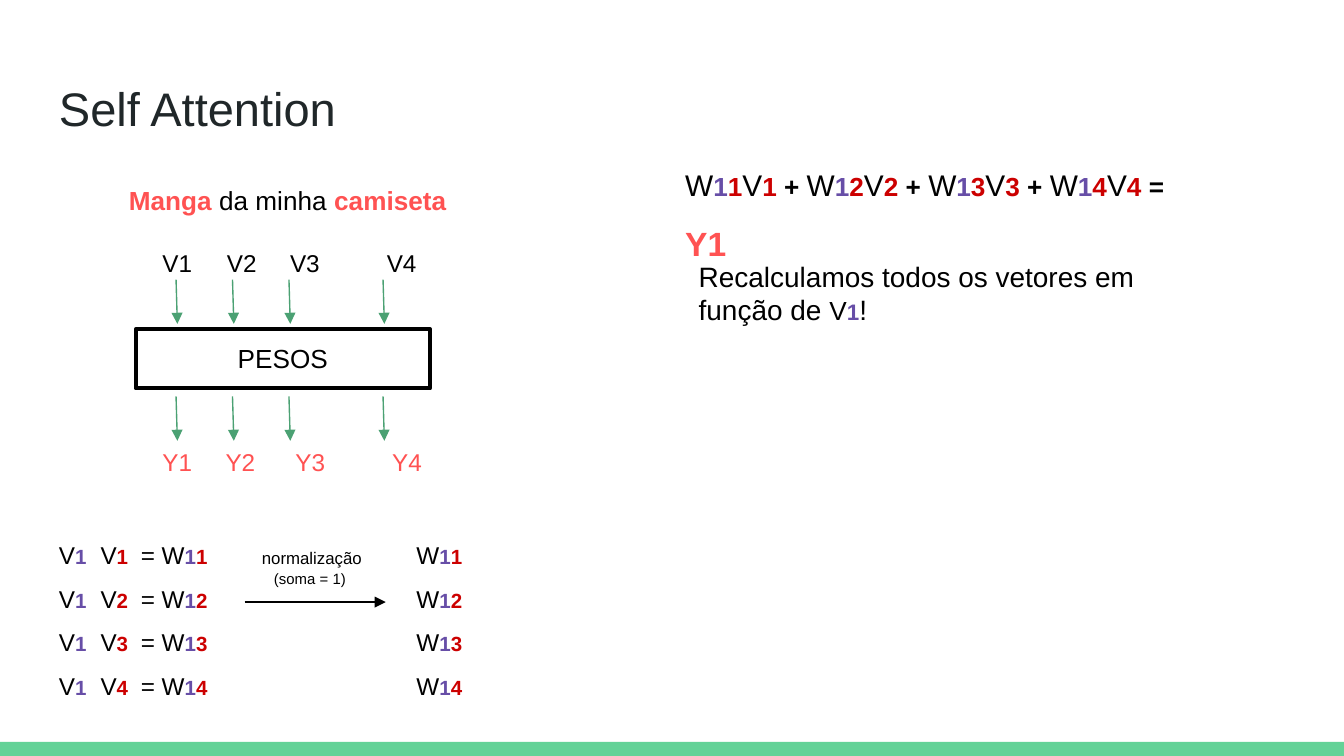
import pptx
import pptx.dml.color
import pptx.enum.shapes
import pptx.enum.text
import pptx.oxml
import pptx.oxml.ns
import pptx.util

Inches = pptx.util.Inches
Pt = pptx.util.Pt

COLORS = {
    "white": "FFFFFF",
    "black": "000000",
    "title": "202729",
    "band": "63D297",
    "arrow": "4BA173",
    "coral": "FF5252",
    "purple": "674EA7",
    "red": "CC0000",
}


def rgb(name):
    return pptx.dml.color.RGBColor.from_string(COLORS[name])


class SlideBuilder:
    """Holds the style and the current slide."""

    font = "Arial"
    inset = 0.1

    def __init__(self, slide):
        self.slide = slide
        slide.background.fill.solid()
        slide.background.fill.fore_color.rgb = rgb("white")

    def fill_text(self, frame, paragraphs, anchor="TOP", align="LEFT",
                  spacing=None, tabs=()):
        """Each paragraph is a list of (text, size, color, bold) runs."""
        frame.word_wrap = True
        frame.vertical_anchor = getattr(pptx.enum.text.MSO_ANCHOR, anchor)
        frame.margin_left = frame.margin_right = Inches(self.inset)
        frame.margin_top = frame.margin_bottom = Inches(self.inset)
        for index, runs in enumerate(paragraphs):
            paragraph = frame.add_paragraph() if index else frame.paragraphs[0]
            if tabs:
                properties = paragraph._p.get_or_add_pPr()
                tab_list = pptx.oxml.parse_xml(
                    f'<a:tabLst {pptx.oxml.ns.nsdecls("a")}/>')
                for stop in tabs:
                    tab = tab_list.makeelement(pptx.oxml.ns.qn("a:tab"), {
                        "pos": str(int(Inches(stop))), "algn": "l"})
                    tab_list.append(tab)
                properties.append(tab_list)
            paragraph.alignment = getattr(pptx.enum.text.PP_ALIGN, align)
            if spacing:
                paragraph.line_spacing = spacing
            for text, size, color, bold in runs:
                run = paragraph.add_run()
                run.text = text
                run.font.name = self.font
                run.font.size = Pt(size)
                run.font.bold = bold
                run.font.color.rgb = rgb(color)

    def text(self, left, top, width, height, paragraphs, **layout):
        box = self.slide.shapes.add_textbox(
            Inches(left), Inches(top), Inches(width), Inches(height))
        self.fill_text(box.text_frame, paragraphs, **layout)

    def rectangle(self, left, top, width, height, fill=None, line=None,
                  weight=1, paragraphs=()):
        box = self.slide.shapes.add_shape(
            pptx.enum.shapes.MSO_SHAPE.RECTANGLE,
            Inches(left), Inches(top), Inches(width), Inches(height))
        box.shadow.inherit = False
        if fill:
            box.fill.solid()
            box.fill.fore_color.rgb = rgb(fill)
        else:
            box.fill.background()
        if line:
            box.line.color.rgb = rgb(line)
            box.line.width = Pt(weight)
        else:
            box.line.fill.background()
        self.fill_text(box.text_frame, paragraphs, "TOP", "CENTER")

    def arrow(self, x1, y1, x2, y2, color, weight):
        connector = self.slide.shapes.add_connector(
            pptx.enum.shapes.MSO_CONNECTOR.STRAIGHT,
            Inches(x1), Inches(y1), Inches(x2), Inches(y2))
        connector.line.color.rgb = rgb(color)
        connector.line.width = Pt(weight)
        namespace = pptx.oxml.ns.nsdecls("a")
        connector.line._get_or_add_ln().append(
            pptx.oxml.parse_xml(f'<a:tailEnd {namespace} type="triangle"/>'))
        connector._element.spPr.append(
            pptx.oxml.parse_xml(f"<a:effectLst {namespace}/>"))


def plain(text, size, color="black"):
    return (text, size, color, False)


def bold(text, size, color="black"):
    return (text, size, color, True)


def weight_runs(index, size, prefix=""):
    """W1n, with the digits two points smaller than the letter."""
    return [plain(prefix + "W", size), bold("1", size - 2, "purple"),
            bold(str(index), size - 2, "red")]


def main():
    presentation = pptx.Presentation()
    presentation.slide_width = Inches(10)
    presentation.slide_height = Inches(10 * 9 / 16)
    builder = SlideBuilder(
        presentation.slides.add_slide(presentation.slide_layouts[6]))
    indices = range(1, 5)

    # Footer band and title
    builder.rectangle(0, 5.52, 10, 0.11, fill="band")
    builder.text(0.34, 0.49, 9.32, 0.63,
                 [[plain("Self Attention", 25.2, "title")]])

    # Sentence, input vectors, weights and output vectors
    builder.text(0.86, 1.27, 2.65, 0.44, [[
        bold("Manga", 14, "coral"), plain(" da minha ", 14),
        bold("camiseta", 14, "coral")]])
    vector_rows = [
        ("V", 1.75, "black", (0.09, 0.57, 1.04, 1.76)),
        ("Y", 3.23, "coral", (0.09, 0.56, 1.08, 1.8)),
    ]
    for letter, top, color, tabs in vector_rows:
        labels = "".join(f"\t{letter}{index}" for index in indices)
        builder.text(1.02, top, 2.38, 0.42, [[plain(labels, 13, color)]],
                     tabs=tabs)
    builder.rectangle(1.01, 2.45, 2.19, 0.44, line="black", weight=2.25,
                      paragraphs=[[plain("PESOS", 14)]])
    for top in (2.08, 2.95):
        for x in (1.31, 1.73, 2.15, 2.85):
            builder.arrow(x, top, x + 0.01, top + 0.33, "arrow", 0.75)

    # Products of vectors and their normalised weights
    products = [
        [plain("V", 13), bold("1", 11, "purple"), plain("\tV", 13),
         bold(str(index), 11, "red")] + weight_runs(index, 13, "\t= ")
        for index in indices]
    builder.text(0.34, 3.81, 1.59, 1.41, products, spacing=1.5,
                 tabs=(0.31, 0.61))
    builder.arrow(1.82, 4.48, 2.87, 4.48, "black", 1.5)
    builder.text(1.85, 4, 0.99, 0.35, [[plain("normalização", 9)]])
    builder.text(1.94, 4.17, 0.8, 0.34, [[plain("(soma = 1)", 8)]])
    builder.text(3, 3.81, 0.59, 1.41,
                 [weight_runs(index, 13) for index in indices], spacing=1.5)

    # Weighted sum that gives Y1
    weighted_sum = []
    for index in indices:
        sign = "= " if index == indices[-1] else "+ "
        weighted_sum += weight_runs(index, 16) + [
            plain("V", 16), bold(f"{index} ", 14, "red"), bold(sign, 14)]
    weighted_sum.append(bold("Y1", 18, "coral"))
    builder.text(5, 1.01, 3.94, 0.5, [weighted_sum], spacing=1.5)
    builder.text(5.1, 1.83, 3.82, 0.71, [[
        plain("Recalculamos todos os vetores em função de ", 15),
        plain("V", 14), bold("1", 12, "purple"), plain("!", 15)]])

    presentation.save("out.pptx")


if __name__ == "__main__":
    main()
